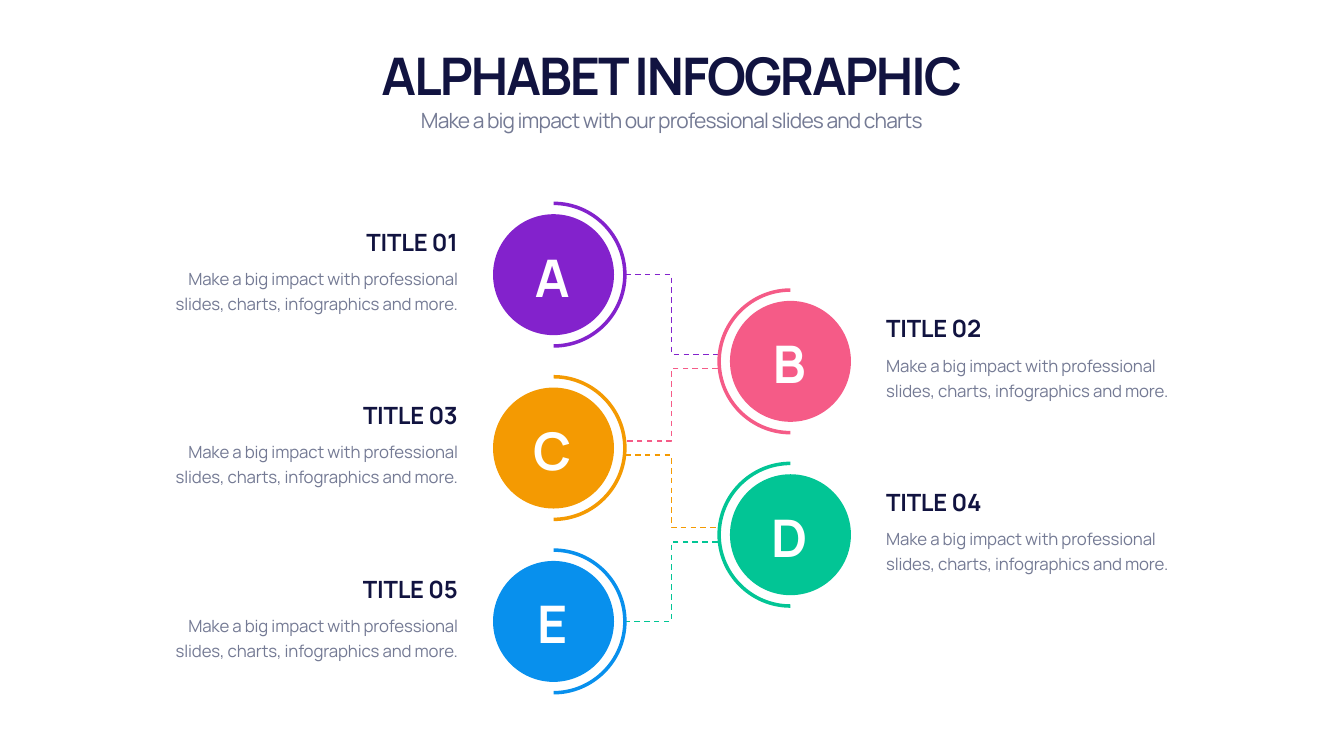
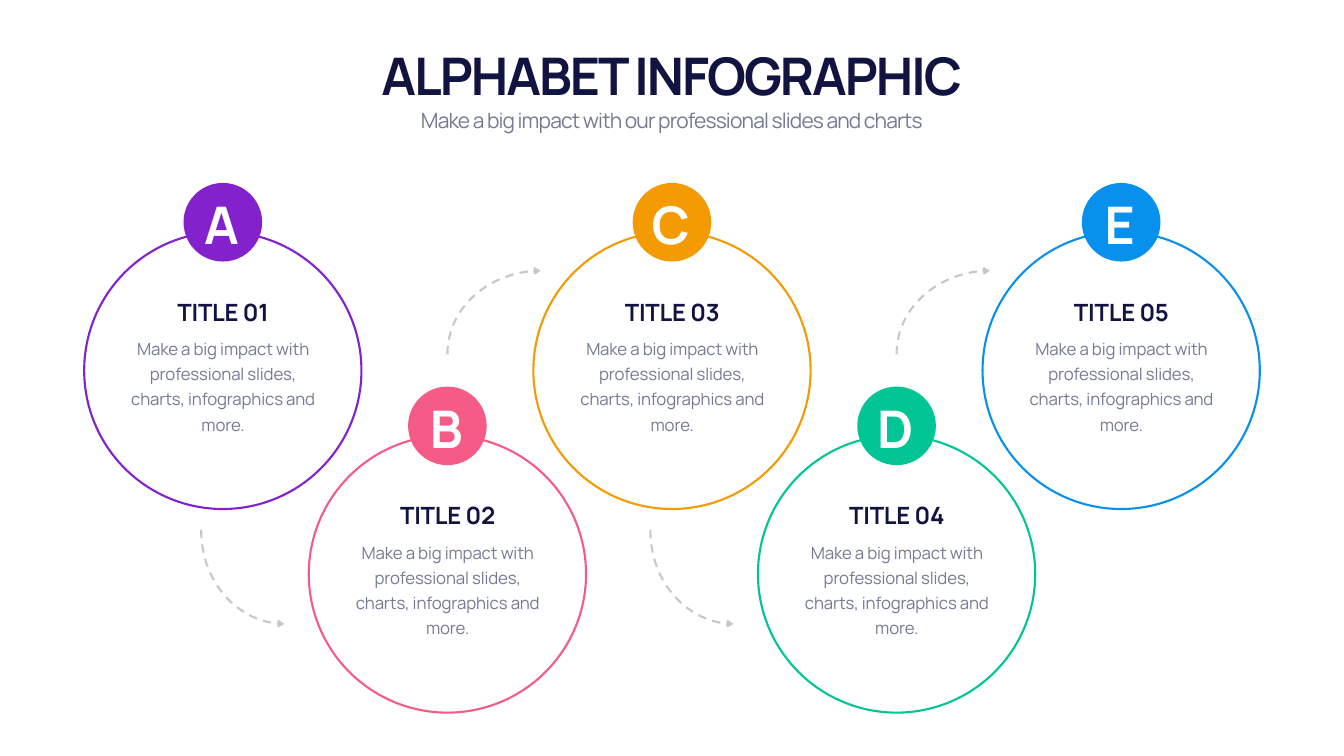
import lxml.etree
import pptx
import pptx.dml.color
import pptx.enum.dml
import pptx.enum.shapes
import pptx.enum.text
import pptx.oxml.ns
import pptx.util

Inches = pptx.util.Inches
Align = pptx.enum.text.PP_ALIGN
Anchor = pptx.enum.text.MSO_ANCHOR
qn = pptx.oxml.ns.qn
FONT = "Manrope"
COLORS = {
    "A": "8322CC",
    "B": "F55B87",
    "C": "F49A02",
    "D": "02C595",
    "E": "0890ED",
    "navy": "111340",
    "gray": "747A94",
    "pale": "C4C8CE",
    "white": "FFFFFF",
}
LETTERS = "ABCDE"
STYLES = {
    "head": dict(size=74, color="navy", bold=True, gap=-290, lead=94),
    "sub": dict(size=30, color="gray", bold=False, gap=-120, lead=42),
    "title": dict(size=34, color="navy", bold=True, gap=-30, lead=None),
    "body": dict(size=24, color="gray", bold=False, gap=-20, lead=36),
    "letter": dict(size=74, color="white", bold=True, gap=-290, lead=None),
}
BODY = "Make a big impact with professional slides, charts, infographics and more."
HALF = [(0, -1), (0.55, -1), (1, -0.55), (1, 0), (1, 0.55), (0.55, 1), (0, 1)]


def tint(name):
    return pptx.dml.color.RGBColor.from_string(COLORS[name])


def write(shape, text, style, align, anchor=Anchor.TOP):
    look = STYLES[style]
    frame = shape.text_frame
    frame.word_wrap = True
    frame.auto_size = pptx.enum.text.MSO_AUTO_SIZE.SHAPE_TO_FIT_TEXT
    frame.vertical_anchor = anchor
    para = frame.paragraphs[0]
    para.alignment = align
    para.space_before = pptx.util.Pt(0)
    if look["lead"]:
        para.line_spacing = pptx.util.Pt(look["lead"])
    run = para.add_run()
    run.text = text
    run.font.name = FONT
    run.font.size = pptx.util.Pt(look["size"])
    run.font.bold = look["bold"]
    run.font.color.rgb = tint(look["color"])
    run.font._element.set("spc", str(look["gap"]))


def place(shape, left, top, width, height):
    shape.left, shape.top = Inches(left), Inches(top)
    shape.width, shape.height = Inches(width), Inches(height)


def add_text(slide, box, text, style, align, anchor=Anchor.TOP):
    shape = slide.shapes.add_textbox(*map(Inches, box))
    write(shape, text, style, align, anchor)


def add_head(deck):
    slide = deck.slides.add_slide(deck.slide_layouts[0])
    head, sub = slide.placeholders
    place(head, 1.66, 0.78, 23.33, 1.38)
    write(head, "ALPHABET INFOGRAPHIC", "head", Align.CENTER, Anchor.BOTTOM)
    place(sub, 1.66, 1.99, 23.33, 0.66)
    write(sub, "Make a big impact with our professional slides and charts",
          "sub", Align.CENTER)
    return slide


def paint(shape, color):
    shape.shadow.inherit = False
    shape.fill.solid()
    shape.fill.fore_color.rgb = tint(color)
    shape.line.fill.background()


def stroke(shape, color, width, dashed=False):
    shape.line.color.rgb = tint(color)
    shape.line.width = pptx.util.Pt(width)
    if dashed:
        shape.line.dash_style = pptx.enum.dml.MSO_LINE.DASH


def add_disc(slide, x, y, rad):
    return slide.shapes.add_shape(
        pptx.enum.shapes.MSO_SHAPE.OVAL,
        *map(Inches, (x - rad, y - rad, 2 * rad, 2 * rad)))


def add_badge(slide, x, y, rad, letter):
    paint(add_disc(slide, x, y, rad), letter)
    add_text(slide, (x - 0.69, y - 0.64, 1.33, 1.35), letter, "letter",
             Align.CENTER, Anchor.MIDDLE)


def add_path(slide, points, plan, close):
    dots = [(Inches(x), Inches(y)) for x, y in points]
    path = slide.shapes.build_freeform(*dots[0])
    path.add_line_segments(dots[1:], close=close)
    shape = path.convert_to_shape()
    shape.shadow.inherit = False
    legs = iter(list(shape._element.iter(qn("a:lnTo"))))
    for kind in plan:
        leg = next(legs)
        if kind == "C":
            curve = lxml.etree.Element(qn("a:cubicBezTo"))
            leg.addprevious(curve)
            for part in (leg, next(legs), next(legs)):
                curve.append(part[0])
                part.getparent().remove(part)
    return shape


def add_ring(slide, x, y, side, color):
    outer, inner = [[(x + side * rad * u, y + rad * v) for u, v in HALF]
                    for rad in (1.45, 1.38)]
    paint(add_path(slide, outer + inner[::-1], "CCLCC", True), color)


def add_elbow(slide, start, end, color):
    line = slide.shapes.add_connector(
        pptx.enum.shapes.MSO_CONNECTOR.ELBOW, *map(Inches, start + end))
    stroke(line, color, 2, True)
    lxml.etree.SubElement(line._element.spPr, qn("a:effectLst"))


def add_curve(slide, x, y, wide, high):
    points = [(x, y), (x, y + 0.56 * high),
              (x + 0.48 * wide, y + high), (x + wide, y + high)]
    shape = add_path(slide, points, "C", False)
    shape.fill.background()
    stroke(shape, "pale", 3, True)
    tail = lxml.etree.SubElement(shape.line._ln, qn("a:tailEnd"))
    tail.set("type", "arrow")


def add_label(slide, left, top, width, high, number, align):
    add_text(slide, (left, top, width, 0.67), f"TITLE {number:02}", "title",
             align, Anchor.BOTTOM)
    add_text(slide, (left, top + 0.72, width, high), BODY, "body", align)


def add_zigzag(deck):
    slide = add_head(deck)
    last = len(LETTERS) - 1
    rows = [5.45 + 1.72 * i for i in range(last + 1)]
    for i, (letter, y) in enumerate(zip(LETTERS, rows)):
        if i % 2 == 0:
            x, side, left, align = 10.98, 1, 2.64, Align.RIGHT
        else:
            x, side, left, align = 15.68, -1, 17.48, Align.LEFT
        add_badge(slide, x, y, 1.2, letter)
        add_ring(slide, x, y, side, letter)
        add_label(slide, left, y - 0.99, 6.54, 1.08, i + 1, align)
        if i < last:
            ends = (12.4, 14.24)[::side]
            start = y + (0.14 if i else 0)
            stop = rows[i + 1] - (0.14 if i + 1 < last else 0)
            add_elbow(slide, (ends[0], start), (ends[1], stop), letter)


def add_circles(deck):
    slide = add_head(deck)
    for i, letter in enumerate(LETTERS):
        x = 4.42 + 4.455 * i
        y = 7.35 + 4.04 * (i % 2)
        circle = add_disc(slide, x, y, 2.75)
        circle.shadow.inherit = False
        circle.fill.background()
        stroke(circle, letter, 3)
        add_badge(slide, x, y - 2.94, 0.78, letter)
        add_label(slide, x - 2.04, y - 1.5, 4.09, 2.09, i + 1, Align.CENTER)
        if i == len(LETTERS) - 1:
            continue
        if i % 2 == 0:
            add_curve(slide, x - 0.43, 10.51, 1.65, 1.87)
        else:
            add_curve(slide, x, 7.03, 1.85, -1.66)


def main():
    deck = pptx.Presentation()
    deck.slide_width, deck.slide_height = Inches(26.66), Inches(15)
    add_zigzag(deck)
    add_circles(deck)
    deck.save("out.pptx")


if __name__ == "__main__":
    main()
